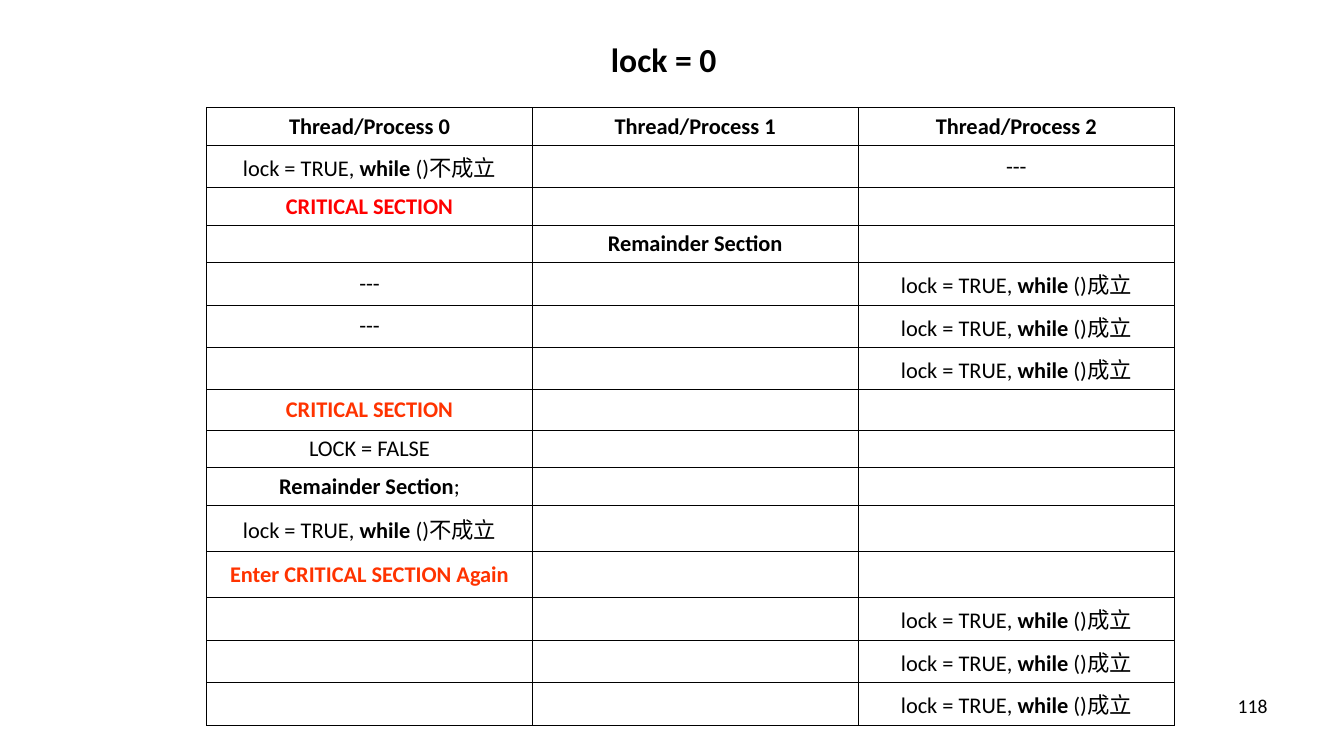
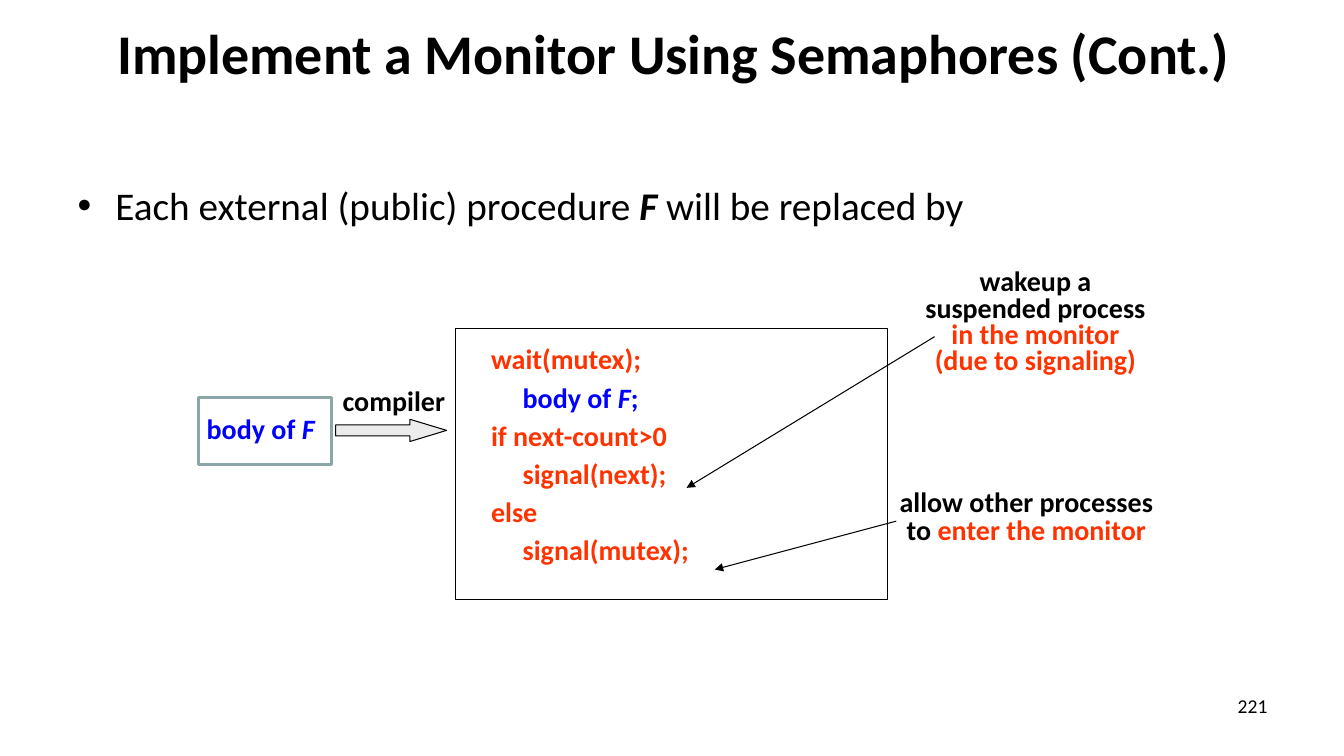
from lxml.etree import SubElement
from pptx import Presentation
from pptx.dml.color import RGBColor
from pptx.enum.shapes import MSO_CONNECTOR, MSO_SHAPE as Shape
from pptx.enum.text import MSO_ANCHOR as Anchor, MSO_AUTO_SIZE as AutoSize, PP_ALIGN as Align
from pptx.oxml.ns import qn
from pptx.util import Inches, Pt

FONT = "Calibri"
BLACK = RGBColor(0x00, 0x00, 0x00)
RED = RGBColor(0xFF, 0x00, 0x00)
ORANGE = RGBColor(0xFF, 0x33, 0x00)
BLUE = RGBColor(0x00, 0x00, 0xFF)
TEAL = RGBColor(0x8A, 0xA6, 0xA8)
PALE = RGBColor(0xEC, 0xEC, 0xEC)

# A line is a list of spans: (text, style letters b / i, colour).
HOLDS = [("lock = TRUE, ", "", BLACK), ("while ", "b", BLACK), ("()成立", "", BLACK)]
FAILS = HOLDS[:2] + [("()不成立", "", BLACK)]
CRITICAL = "CRITICAL SECTION"
REMAINDER = ("Remainder Section", "b", BLACK)
WAITING = [("---", "", BLACK)]

LOCK_COLUMNS = (3.23, 3.23, 3.14)
LOCK_ROWS = [  # height, then the three threads
    (0.37, *([(f"Thread/Process {number}", "b", BLACK)] for number in range(3))),
    (0.42, FAILS, [], WAITING),
    (0.37, [(CRITICAL, "b", RED)], [], []),
    (0.37, [], [REMAINDER], []),
    (0.42, WAITING, [], HOLDS),
    (0.42, WAITING, [], HOLDS),
    (0.42, [], [], HOLDS),
    (0.4, [(CRITICAL, "b", ORANGE)], [], []),
    (0.37, [("LOCK = FALSE", "", BLACK)], [], []),
    (0.37, [REMAINDER, (";", "", BLACK)], [], []),
    (0.46, FAILS, [], []),
    (0.46, [(f"Enter {CRITICAL} Again", "b", ORANGE)], [], []),
    (0.42, [], [], HOLDS),
    (0.42, [], [], HOLDS),
    (0.42, [], [], HOLDS),
]

PROCEDURE = [("Each external (public) procedure ", "", BLACK), ("F", "bi", BLACK),
             (" will be replaced by", "", BLACK)]
BODY_OF_F = [("body of ", "b", BLUE), ("F", "bi", BLUE)]
MONITOR_CODE = [
    [("wait(mutex);", "b", ORANGE)],
    [("     ", "b", BLUE), *BODY_OF_F, (";", "b", BLUE)],
    [("if next-count>0", "b", ORANGE)],
    [("     signal(next);", "b", ORANGE)],
    [("else", "b", ORANGE)],
    [("     signal(mutex);", "b", ORANGE)],
]
LABELS = [  # box, alignment, line spacing, lines
    ((3.3, 3.79, 1.4, 0.4), Align.LEFT, 0.9, [[("compiler", "b", BLACK)]]),
    ((9.01, 2.7, 2.52, 1.14), Align.CENTER, 0.55, [
        [("wakeup a", "b", BLACK)],
        [("suspended process", "b", BLACK)],
        [("in the monitor", "b", ORANGE)],
        [("(due to signaling)", "b", ORANGE)]]),
    ((8.8, 4.87, 2.76, 0.61), Align.CENTER, 0.6, [
        [("allow other processes", "b", BLACK)],
        [("to ", "b", BLACK), ("enter the monitor", "b", ORANGE)]]),
]
ARROWS = [((9.27, 3.34), (6.81, 4.84)), ((8.89, 5.17), (7.09, 5.65))]


def inches(values):
    return [Inches(value) for value in values]


def write(frame, lines, size, align=Align.LEFT, spacing=None, anchor=Anchor.TOP):
    frame.word_wrap = True
    frame.auto_size = AutoSize.NONE
    frame.vertical_anchor = anchor
    for index, spans in enumerate(lines):
        para = frame.add_paragraph() if index else frame.paragraphs[0]
        write_line(para, spans, size, align)
        para.space_before = Pt(5.6 if index else 0)
        if spacing:
            para.line_spacing = spacing


def write_line(para, spans, size, align):
    para.alignment = align
    para.font.name = FONT
    para.font.size = Pt(size)
    for text, style, colour in spans:
        span = para.add_run()
        span.text = text
        span.font.bold = "b" in style
        span.font.italic = "i" in style
        span.font.color.rgb = colour


def add_text(page, box, *args, **options):
    write(page.shapes.add_textbox(*inches(box)).text_frame, *args, **options)


def place(placeholder, box):
    placeholder.left, placeholder.top, placeholder.width, placeholder.height = inches(box)
    return placeholder.text_frame


def add_page(deck, layout, title, box, size, align, number):
    page = deck.slides.add_slide(deck.slide_layouts[layout])
    write(place(page.shapes.title, box), [[(title, "b", BLACK)]], size, align)
    add_text(page, (9.56, 6.83, 3.11, 0.52), [[(str(number), "", BLACK)]], 14, Align.RIGHT)
    return page


def add_outline(page, kind, box, colour=BLACK, width=0.75, fill=None):
    shape = page.shapes.add_shape(kind, *inches(box))
    shape.shadow.inherit = False
    shape.line.color.rgb = colour
    shape.line.width = Pt(width)
    if fill is None:
        shape.fill.background()
    else:
        shape.fill.solid()
        shape.fill.fore_color.rgb = fill
    return shape


def add_arrow(page, start, end):
    arrow = page.shapes.add_connector(MSO_CONNECTOR.STRAIGHT, *inches(start + end))
    arrow.line.color.rgb = BLACK
    arrow.line.width = Pt(0.75)
    properties = arrow.element.spPr
    SubElement(properties.find(qn("a:ln")), qn("a:tailEnd"), type="triangle")
    SubElement(properties, qn("a:effectLst"))


def rule_cell(cell):
    """Draw thin black lines round a cell and clear its fill."""
    properties = cell._tc.get_or_add_tcPr()
    for side in ("lnL", "lnR", "lnT", "lnB"):
        line = SubElement(properties, qn(f"a:{side}"), w=str(Pt(0.75)))
        fill = SubElement(line, qn("a:solidFill"))
        SubElement(fill, qn("a:srgbClr"), val=str(BLACK))
    cell.fill.background()


def add_lock_table(page):
    heights = [row[0] for row in LOCK_ROWS]
    box = (2.05, 1.07, sum(LOCK_COLUMNS), sum(heights))
    table = page.shapes.add_table(len(heights), len(LOCK_COLUMNS), *inches(box)).table
    table.first_row = table.horz_banding = False
    for column, width in zip(table.columns, LOCK_COLUMNS):
        column.width = Inches(width)
    for row, (height, *threads) in zip(table.rows, LOCK_ROWS):
        row.height = Inches(height)
        for cell, spans in zip(row.cells, threads):
            cell.margin_left = cell.margin_right = Inches(0.14)
            cell.vertical_anchor = Anchor.MIDDLE
            rule_cell(cell)
            para = cell.text_frame.paragraphs[0]
            write_line(para, spans, 16, Align.CENTER)
            if not spans:
                SubElement(para._p, qn("a:endParaRPr"), sz="1600")


def add_monitor_diagram(page):
    code = add_outline(page, Shape.RECTANGLE, (4.52, 3.26, 4.28, 2.69))
    code.text_frame.margin_left = Inches(0.35)
    code.text_frame.margin_top = Inches(0.17)
    write(code.text_frame, MONITOR_CODE, 20, spacing=0.9)

    procedure = add_outline(page, Shape.RECTANGLE, (1.97, 3.94, 1.32, 0.67), TEAL, 2)
    procedure.text_frame.margin_left = Inches(0.08)
    write(procedure.text_frame, [BODY_OF_F], 20, spacing=0.9, anchor=Anchor.MIDDLE)

    compiler = add_outline(page, Shape.RIGHT_ARROW, (3.33, 4.16, 1.1, 0.22), fill=PALE)
    compiler.adjustments[1] = 1.65
    for start, end in ARROWS:
        add_arrow(page, start, end)
    for box, align, spacing, lines in LABELS:
        add_text(page, box, lines, 20, align, spacing)


def main():
    deck = Presentation()
    deck.slide_width, deck.slide_height = inches((13.33, 7.5))

    page = add_page(deck, 5, "lock = 0", (5.96, 0.34, 1.8, 0.5), 24, Align.LEFT, 118)
    add_lock_table(page)

    page = add_page(deck, 1, "Implement a Monitor Using Semaphores (Cont.)",
                    (0.68, 0.13, 12, 1.25), 40, Align.CENTER, 221)
    write(place(page.placeholders[1], (0.67, 1.75, 12, 4.95)), [PROCEDURE], 28)
    add_monitor_diagram(page)

    deck.save("out.pptx")


if __name__ == "__main__":
    main()
